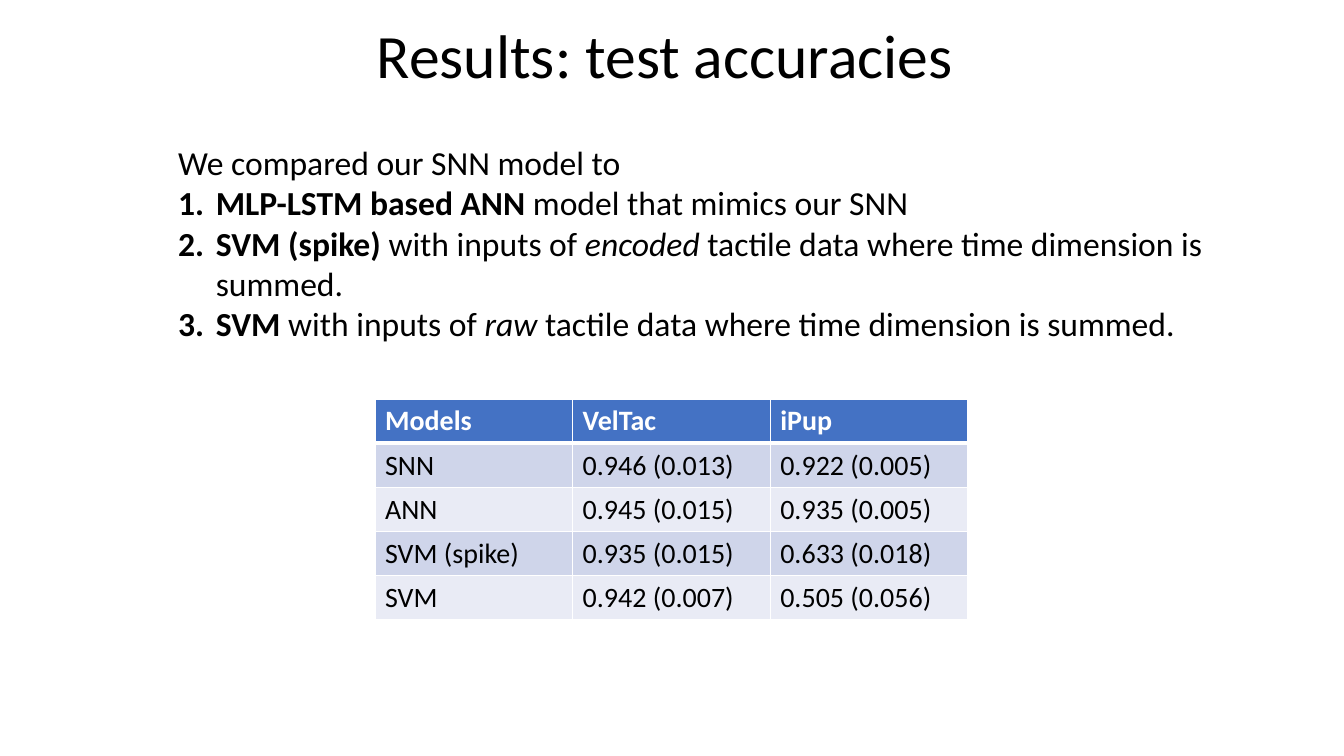
import dataclasses

import lxml.etree
import pptx
import pptx.dml.color
import pptx.enum.text
import pptx.oxml.ns
import pptx.util

Cm = pptx.util.Cm
Pt = pptx.util.Pt
qn = pptx.oxml.ns.qn

FONT = "Calibri"
BLACK = "000000"
WHITE = "FFFFFF"
HEADER_FILL = "4472C4"
BAND_FILLS = ("CFD5EA", "E9EBF5")
INDENT = Cm(0.95)


@dataclasses.dataclass(frozen=True)
class TextRun:
    text: str
    bold: bool = False
    italic: bool = False


@dataclasses.dataclass(frozen=True)
class Line:
    runs: tuple[TextRun, ...]
    numbered: bool = True


TITLE = TextRun("Results: test accuracies ")
SUMMARY = (
    Line((TextRun("We compared our SNN model to"),), numbered=False),
    Line((TextRun("MLP-LSTM based ANN ", bold=True),
          TextRun("model that mimics our SNN"))),
    Line((TextRun("SVM (spike) ", bold=True), TextRun("with inputs of "),
          TextRun("encoded", italic=True),
          TextRun(" tactile data where time dimension is summed."))),
    Line((TextRun("SVM", bold=True), TextRun(" with inputs of "),
          TextRun("raw", italic=True),
          TextRun(" tactile data where time dimension is summed."))),
)
ACCURACIES = (
    ("Models", "VelTac", "iPup"),
    ("SNN", "0.946 (0.013)", "0.922 (0.005)"),
    ("ANN", "0.945 (0.015)", "0.935 (0.005)"),
    ("SVM (spike)", "0.935 (0.015)", "0.633 (0.018)"),
    ("SVM", "0.942 (0.007)", "0.505 (0.056)"),
)


def color(value: str) -> pptx.dml.color.RGBColor:
    return pptx.dml.color.RGBColor.from_string(value)


def add_run(paragraph, content: TextRun, size: float, text_color: str = BLACK) -> None:
    run = paragraph.add_run()
    run.text = content.text
    run.font.name = FONT
    run.font.size = Pt(size)
    run.font.bold = content.bold
    run.font.italic = content.italic
    run.font.color.rgb = color(text_color)


def number_paragraph(paragraph) -> None:
    properties = paragraph._p.get_or_add_pPr()
    properties.set("marL", str(INDENT))
    properties.set("indent", str(-INDENT))
    lxml.etree.SubElement(properties, qn("a:buFont"), typeface="+mj-lt")
    lxml.etree.SubElement(properties, qn("a:buAutoNum"), type="arabicPeriod")


def set_borders(cell, bottom_width: float) -> None:
    properties = cell._tc.get_or_add_tcPr()
    widths = {"a:lnL": 1, "a:lnR": 1, "a:lnT": 1, "a:lnB": bottom_width}
    for position, (tag, width) in enumerate(widths.items()):
        line = lxml.etree.Element(qn(tag), w=str(Pt(width)))
        fill = lxml.etree.SubElement(line, qn("a:solidFill"))
        lxml.etree.SubElement(fill, qn("a:srgbClr"), val=WHITE)
        properties.insert(position, line)


def add_title(slide) -> None:
    shape = slide.shapes.add_textbox(Cm(0), Cm(0.03), Cm(33.87), Cm(2.9))
    frame = shape.text_frame
    frame.word_wrap = True
    frame.vertical_anchor = pptx.enum.text.MSO_ANCHOR.MIDDLE
    paragraph = frame.paragraphs[0]
    paragraph.alignment = pptx.enum.text.PP_ALIGN.CENTER
    paragraph.line_spacing = 0.9
    add_run(paragraph, TITLE, 44)


def add_summary(slide) -> None:
    shape = slide.shapes.add_textbox(Cm(4.24), Cm(3.45), Cm(27.79), Cm(5.38))
    frame = shape.text_frame
    frame.word_wrap = True
    frame.auto_size = pptx.enum.text.MSO_AUTO_SIZE.SHAPE_TO_FIT_TEXT
    for index, line in enumerate(SUMMARY):
        paragraph = frame.paragraphs[0] if index == 0 else frame.add_paragraph()
        if line.numbered:
            number_paragraph(paragraph)
        for content in line.runs:
            add_run(paragraph, content, 24)


def add_accuracy_table(slide) -> None:
    column_width, row_height = Cm(4.98), Cm(1.11)
    row_count, column_count = len(ACCURACIES), len(ACCURACIES[0])
    table = slide.shapes.add_table(
        row_count, column_count, Cm(9.45), Cm(10.06),
        column_width * column_count, row_height * row_count).table
    for column in table.columns:
        column.width = column_width
    for row_index, values in enumerate(ACCURACIES):
        header = row_index == 0
        table.rows[row_index].height = row_height
        for column_index, value in enumerate(values):
            cell = table.cell(row_index, column_index)
            cell.fill.solid()
            cell.fill.fore_color.rgb = color(
                HEADER_FILL if header else BAND_FILLS[(row_index - 1) % 2])
            set_borders(cell, 3 if header else 1)
            add_run(cell.text_frame.paragraphs[0], TextRun(value, bold=header),
                    20, WHITE if header else BLACK)
            if row_index == 1:
                # The thick rule below the header is shared with this row
                cell._tc.tcPr.find(qn("a:lnT")).set("w", str(Pt(3)))


def main() -> None:
    presentation = pptx.Presentation()
    presentation.slide_width = Cm(33.87)
    presentation.slide_height = Cm(19.05)
    slide = presentation.slides.add_slide(presentation.slide_layouts[6])

    # Heading, compared models, and their accuracies
    add_title(slide)
    add_accuracy_table(slide)
    add_summary(slide)

    presentation.save("out.pptx")


if __name__ == "__main__":
    main()
